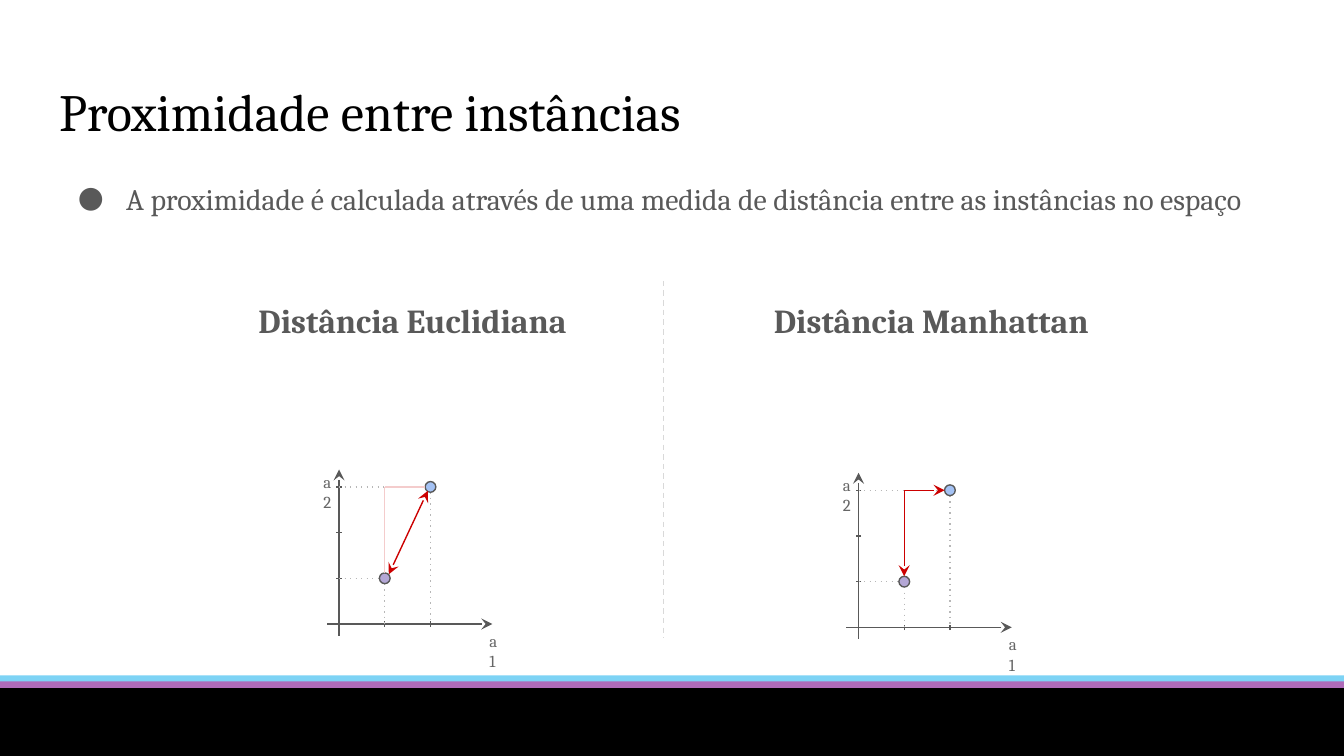
"""Slide comparing Euclidean and Manhattan distance between two instances."""
from lxml import etree
from pptx import Presentation
from pptx.dml.color import RGBColor
from pptx.enum.shapes import MSO_CONNECTOR, MSO_SHAPE
from pptx.enum.text import MSO_ANCHOR, MSO_AUTO_SIZE, PP_ALIGN
from pptx.oxml.ns import qn
from pptx.util import Inches, Pt

LEFT, CENTER, TOP = PP_ALIGN.LEFT, PP_ALIGN.CENTER, MSO_ANCHOR.TOP
RECT, OVAL, STRAIGHT = MSO_SHAPE.RECTANGLE, MSO_SHAPE.OVAL, MSO_CONNECTOR.STRAIGHT
CELL, COLS, ROWS = 0.1, 100, 56.25
UNIT, RADIUS = 3.4, 0.4
COLORS = {
    "black": "000000", "text": "595959", "label": "666666", "guide": "B7B7B7",
    "divider": "D9D9D9", "blue": "A4C2F4", "purple": "B4A7D6", "red": "CC0000",
    "pale": "F4CCCC", "cyan": "00A9EC", "pink": "E3007B",
}


def rgb(name):
    return RGBColor.from_string(COLORS[name])


def grid(*cells):
    return [Inches(CELL * n) for n in cells]


def write(tf, text, size=16, color="text", bold=False, align=LEFT,
          spacing=None, bullet=None):
    tf.word_wrap = True
    tf.auto_size = MSO_AUTO_SIZE.NONE
    tf.vertical_anchor = TOP
    tf.margin_left = tf.margin_right = tf.margin_top = tf.margin_bottom = Inches(0.1)
    p = tf.paragraphs[0]
    p.alignment = align
    if bullet:
        pPr = p._p.get_or_add_pPr()
        pPr.set("marL", str(Inches(0.5)))
        pPr.set("indent", str(Inches(-0.36)))
        clr = etree.SubElement(pPr, qn("a:buClr"))
        etree.SubElement(clr, qn("a:srgbClr"), val=COLORS[color])
        etree.SubElement(pPr, qn("a:buSzPts"), val=str(size * 100))
        etree.SubElement(pPr, qn("a:buFont"), typeface="Cambria")
        etree.SubElement(pPr, qn("a:buChar"), char=bullet)
    if spacing:
        p.line_spacing = spacing
    r = p.add_run()
    r.text = text
    r.font.name, r.font.size, r.font.bold = "Cambria", Pt(size), bold
    r.font.color.rgb = rgb(color)


class Deck:
    """Holds the style and the current slide, measured in grid cells."""

    def __init__(self):
        self.prs = Presentation()
        self.prs.slide_width, self.prs.slide_height = grid(COLS, ROWS)
        self.s = self.prs.slides.add_slide(self.prs.slide_layouts[5])

    def title(self, box, text, **fmt):
        sp = self.s.shapes.title
        sp.left, sp.top, sp.width, sp.height = grid(*box)
        write(sp.text_frame, text, **fmt)

    def text(self, box, text, **fmt):
        write(self.s.shapes.add_textbox(*grid(*box)).text_frame, text, **fmt)

    def shape(self, kind, box, fill, line=None, alpha=None):
        sp = self.s.shapes.add_shape(kind, *grid(*box))
        sp.shadow.inherit = False
        sp.fill.solid()
        sp.fill.fore_color.rgb = rgb(fill)
        if alpha:
            clr = sp.fill._xPr.find(".//" + qn("a:srgbClr"))
            etree.SubElement(clr, qn("a:alpha"), val=str(alpha * 1000))
        if line:
            sp.line.color.rgb = rgb(line)
            sp.line.width = Pt(0.75)
        else:
            sp.line.fill.background()

    def line(self, start, end, color="text", dash=None, arrows=()):
        c = self.s.shapes.add_connector(STRAIGHT, *grid(*start, *end))
        c.line.color.rgb = rgb(color)
        c.line.width = Pt(0.75)
        ln = c.line._get_or_add_ln()
        if dash:
            etree.SubElement(ln, qn("a:prstDash"), val=dash)
        for end_name in arrows:
            etree.SubElement(ln, qn("a:" + end_name), type="stealth")
        etree.SubElement(c._element.spPr, qn("a:effectLst"))

    def plot(self, x0, y0):
        """Draws axes, ticks, guides and both instances; returns their spots."""
        self.line((x0, y0 - 11.5), (x0, y0 + 0.9), arrows=["headEnd"])
        self.line((x0 + 11.4, y0), (x0 - 0.9, y0), arrows=["headEnd"])
        for n in (1, 2, 3):
            y = y0 - n * UNIT
            self.line((x0 + 0.2, y), (x0 - 0.2, y))
        for n in (1, 2):
            x = x0 + n * UNIT
            self.line((x, y0 + 0.2), (x, y0 - 0.2))
        spots = []
        for u, v, fill in ((1, 1, "purple"), (2, 3, "blue")):
            x, y = x0 + u * UNIT, y0 - v * UNIT
            self.line((x0, y), (x - RADIUS, y), "guide", "dot")
            self.line((x, y + RADIUS), (x, y0), "guide", "dot")
            self.shape(OVAL, (x - RADIUS, y - RADIUS, 2 * RADIUS, 2 * RADIUS), fill, "text")
            spots.append((x, y))
        self.text((x0 - 2.15, y0 - 12.35, 2.8, 2.5), "a2", size=9, color="label")
        self.text((x0 + 10.2, y0 - 0.2, 2.8, 1.4), "a1", size=9, color="label")
        return spots

    def corner(self, low, high, color, arrows=()):
        turn = (low[0], high[1])
        self.line(turn, (high[0] - RADIUS, high[1]), color, arrows=arrows)
        self.line(turn, (low[0], low[1] - RADIUS), color, arrows=arrows)


def main():
    deck = Deck()
    deck.shape(RECT, (0, 50.25, COLS, 5), "cyan", alpha=51)
    deck.shape(RECT, (0, 50.7, COLS, 5), "pink", alpha=49)
    deck.shape(RECT, (0, 51.25, COLS, 5), "black", "black")
    deck.title((3.4, 4.9, 93.2, 6.3), "Proximidade entre instâncias", size=28, color="black")
    deck.text((3.4, 11.1, 93.2, 19.4),
              "A proximidade é calculada através de uma medida de distância "
              "entre as instâncias no espaço", spacing=1.5, bullet="●")
    for x, name in ((13.6, "Euclidiana"), (52.2, "Manhattan")):
        deck.text((x, 20.9, 34.2, 4.9), f"Distância {name}", size=18, bold=True,
                  align=CENTER, spacing=1.15)

    low, high = deck.plot(25.23, 46.43)
    deck.corner(low, high, "pale")
    deck.line((low[0] + 0.3, low[1] - 0.3), (high[0] - 0.2, high[1] + 0.3), "red",
              arrows=["headEnd", "tailEnd"])
    low, high = deck.plot(63.88, 46.68)
    deck.corner(low, high, "red", ["tailEnd"])
    deck.line((49.37, 20.9), (49.37, 47.5), "divider", "dash")
    deck.prs.save("out.pptx")


if __name__ == "__main__":
    main()
